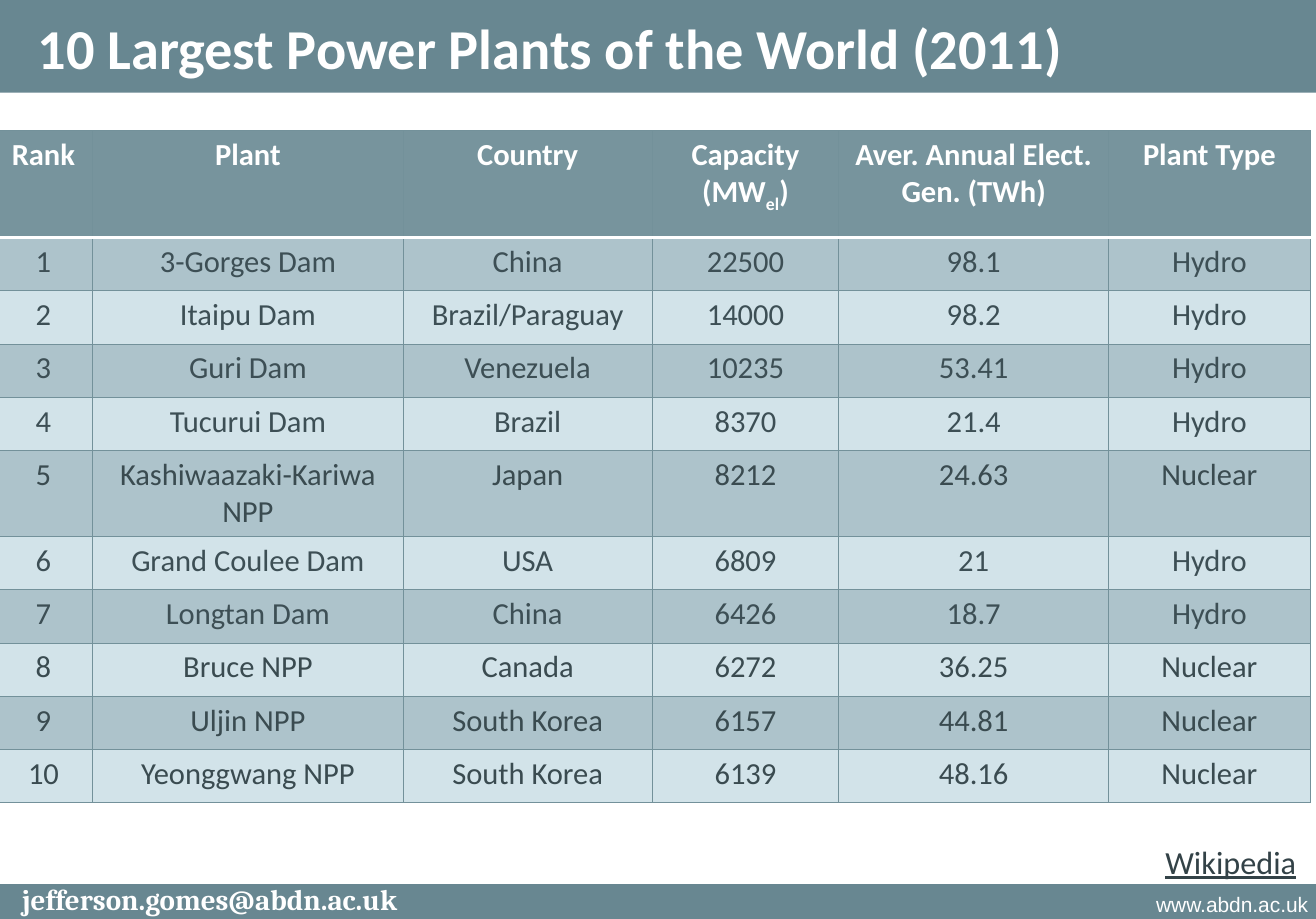
from lxml import etree
from pptx import Presentation
from pptx.dml.color import RGBColor
from pptx.enum import shapes, text
from pptx.oxml.ns import qn
from pptx.util import Inches, Pt

WHITE = RGBColor(0xFF, 0xFF, 0xFF)
BAND = RGBColor(0x68, 0x87, 0x91)
HEADER_FILL = RGBColor(0x77, 0x94, 0x9D)
ODD_FILL = RGBColor(0xAD, 0xC3, 0xCB)
EVEN_FILL = RGBColor(0xD2, 0xE3, 0xE9)
GRID = RGBColor(0x73, 0x91, 0x9A)
HYDRO_TEXT = RGBColor(0x3D, 0x4F, 0x55)
NUCLEAR_TEXT = RGBColor(0x3A, 0x4B, 0x50)
LINK_TEXT = RGBColor(0x33, 0x42, 0x47)

COLUMN_WIDTHS = [0.85, 2.68, 2.15, 1.61, 2.33, 1.74]
HEADINGS = ["Rank", "Plant", "Country", "Capacity (MW",
            "Aver. Annual Elect. Gen. (TWh)", "Plant Type"]
PLANTS = [
    ("3-Gorges Dam", "China", "22500", "98.1", "Hydro"),
    ("Itaipu Dam", "Brazil/Paraguay", "14000", "98.2", "Hydro"),
    ("Guri Dam", "Venezuela", "10235", "53.41", "Hydro"),
    ("Tucurui Dam", "Brazil", "8370", "21.4", "Hydro"),
    ("Kashiwaazaki-Kariwa\nNPP", "Japan", "8212", "24.63", "Nuclear"),
    ("Grand Coulee Dam", "USA", "6809", "21", "Hydro"),
    ("Longtan Dam", "China", "6426", "18.7", "Hydro"),
    ("Bruce NPP", "Canada", "6272", "36.25", "Nuclear"),
    ("Uljin NPP", "South Korea", "6157", "44.81", "Nuclear"),
    ("Yeonggwang NPP", "South Korea", "6139", "48.16", "Nuclear"),
]


def style_text(frame, size, font, color, align, bold=False):
    for paragraph in frame.paragraphs:
        paragraph.alignment = align
        for run in paragraph.runs:
            run.font.size = Pt(size)
            run.font.name = font
            run.font.color.rgb = color
            run.font.bold = bold


def add_border(cell, side, color, width):
    """Draw one cell edge; side is L, R, T or B."""
    line = etree.SubElement(cell._tc.get_or_add_tcPr(), qn(f"a:ln{side}"), w=str(Pt(width)))
    fill = etree.SubElement(line, qn("a:solidFill"))
    etree.SubElement(fill, qn("a:srgbClr"), val=str(color))


prs = Presentation()
prs.slide_width, prs.slide_height = Inches(11.36), Inches(7.93)
slide = prs.slides.add_slide(prs.slide_layouts[6])

# Bands at the foot and head of the slide
for top, height in [(7.63, 0.3), (0, 0.8)]:
    band = slide.shapes.add_shape(shapes.MSO_SHAPE.RECTANGLE, 0, Inches(top),
                                  prs.slide_width, Inches(height))
    band.shadow.inherit = False
    band.fill.solid()
    band.fill.fore_color.rgb = BAND
    band.line.fill.background()

# Ranking table
table = slide.shapes.add_table(len(PLANTS) + 1, len(HEADINGS), Inches(-0.05), Inches(1.13),
                               Inches(sum(COLUMN_WIDTHS)), Inches(5.8)).table
for column, width in zip(table.columns, COLUMN_WIDTHS):
    column.width = Inches(width)

ranked = [(str(rank), *plant) for rank, plant in enumerate(PLANTS, 1)]
for r, values in enumerate([HEADINGS, *ranked]):
    is_header = r == 0
    if is_header:
        fill, color = HEADER_FILL, WHITE
        table.rows[r].height = Inches(0.92)
    else:
        fill = ODD_FILL if r % 2 else EVEN_FILL
        color = NUCLEAR_TEXT if values[-1] == "Nuclear" else HYDRO_TEXT
        table.rows[r].height = Inches(0.74 if "\n" in values[1] else 0.46)
    for c, value in enumerate(values):
        cell = table.cell(r, c)
        cell.margin_left = cell.margin_right = Inches(0.11)
        cell.text_frame.text = value
        if value == "Capacity (MW":
            unit = cell.text_frame.paragraphs[0]
            subscript = unit.add_run()
            subscript.text = "el"
            subscript.font._element.set("baseline", "-25000")
            unit.add_run().text = ")"
        style_text(cell.text_frame, 19, "Calibri", color, text.PP_ALIGN.CENTER, is_header)
        for side in "LRTB":
            under_header = (r, side) in [(0, "B"), (1, "T")]
            add_border(cell, side, *((WHITE, 2) if under_header else (GRID, 0.75)))
        cell.fill.solid()
        cell.fill.fore_color.rgb = fill

# Title, source and footer texts
CENTER, LEFT, RIGHT = text.PP_ALIGN.CENTER, text.PP_ALIGN.LEFT, text.PP_ALIGN.RIGHT
captions = [
    ("www.abdn.ac.uk", (8.45, 7.63, 2.95, 0.38), 13, "Arial", WHITE, RIGHT, False),
    ("jefferson.gomes@abdn.ac.uk", (0, 7.58, 3.62, 0.35), 18, "Cambria", WHITE, CENTER, True),
    ("Wikipedia", (9.95, 7.21, 1.36, 0.45), 20, "Calibri", LINK_TEXT, LEFT, False),
    ("10 Largest Power Plants of the World (2011)", (-0.02, 0.05, 9.54, 0.7),
     35, "Calibri", WHITE, CENTER, True),
]
for wording, place, size, font, color, align, bold in captions:
    frame = slide.shapes.add_textbox(*map(Inches, place)).text_frame
    frame.word_wrap = wording != "Wikipedia"
    frame.margin_left = frame.margin_right = Inches(0.11)
    frame.margin_top = frame.margin_bottom = Inches(0.06)
    frame.text = wording
    style_text(frame, size, font, color, align, bold)
    if wording == "Wikipedia":
        frame.paragraphs[0].runs[0].font.underline = True
    if "@" in wording:
        frame.paragraphs[0].line_spacing = 0.9

prs.save("out.pptx")
